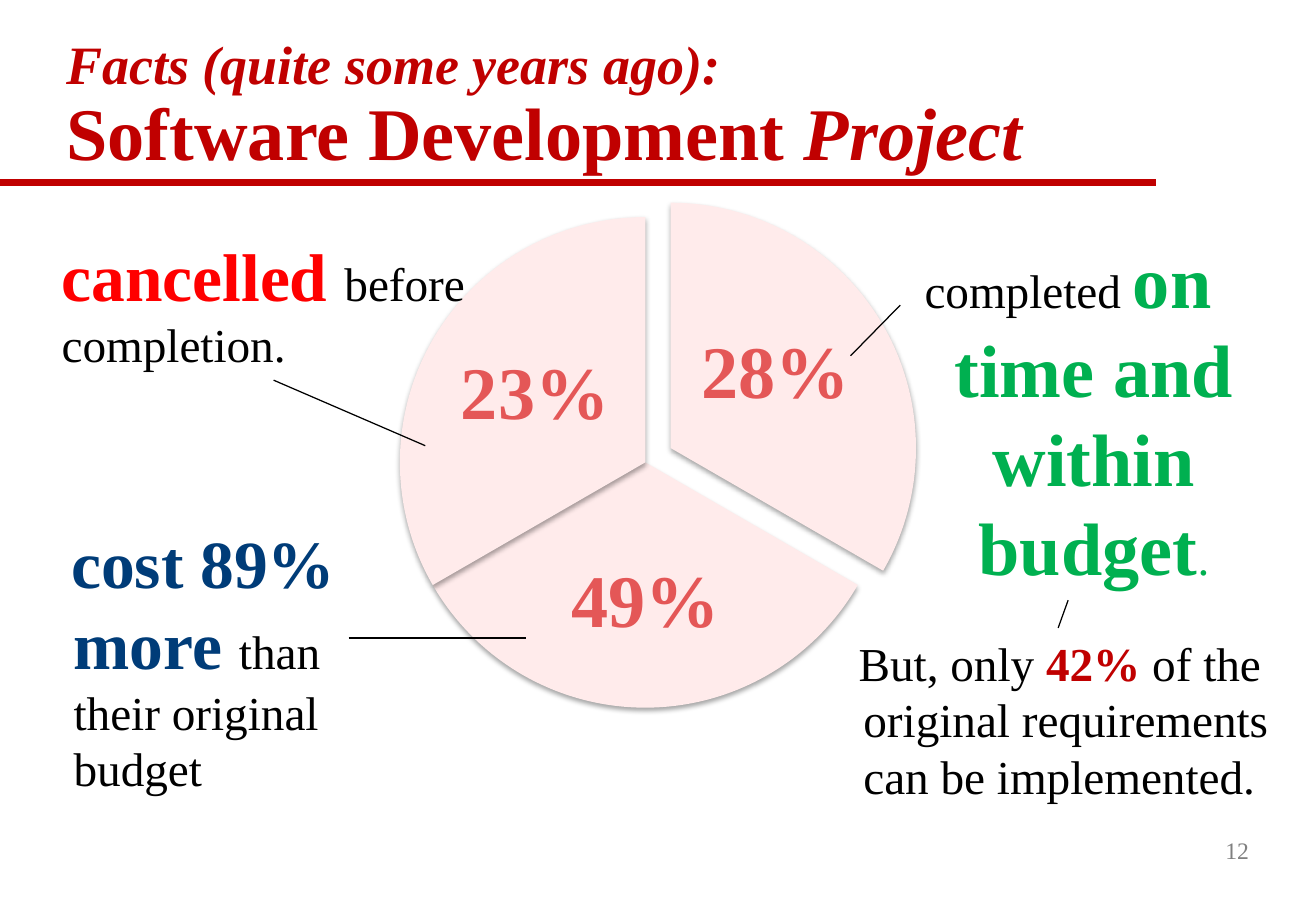
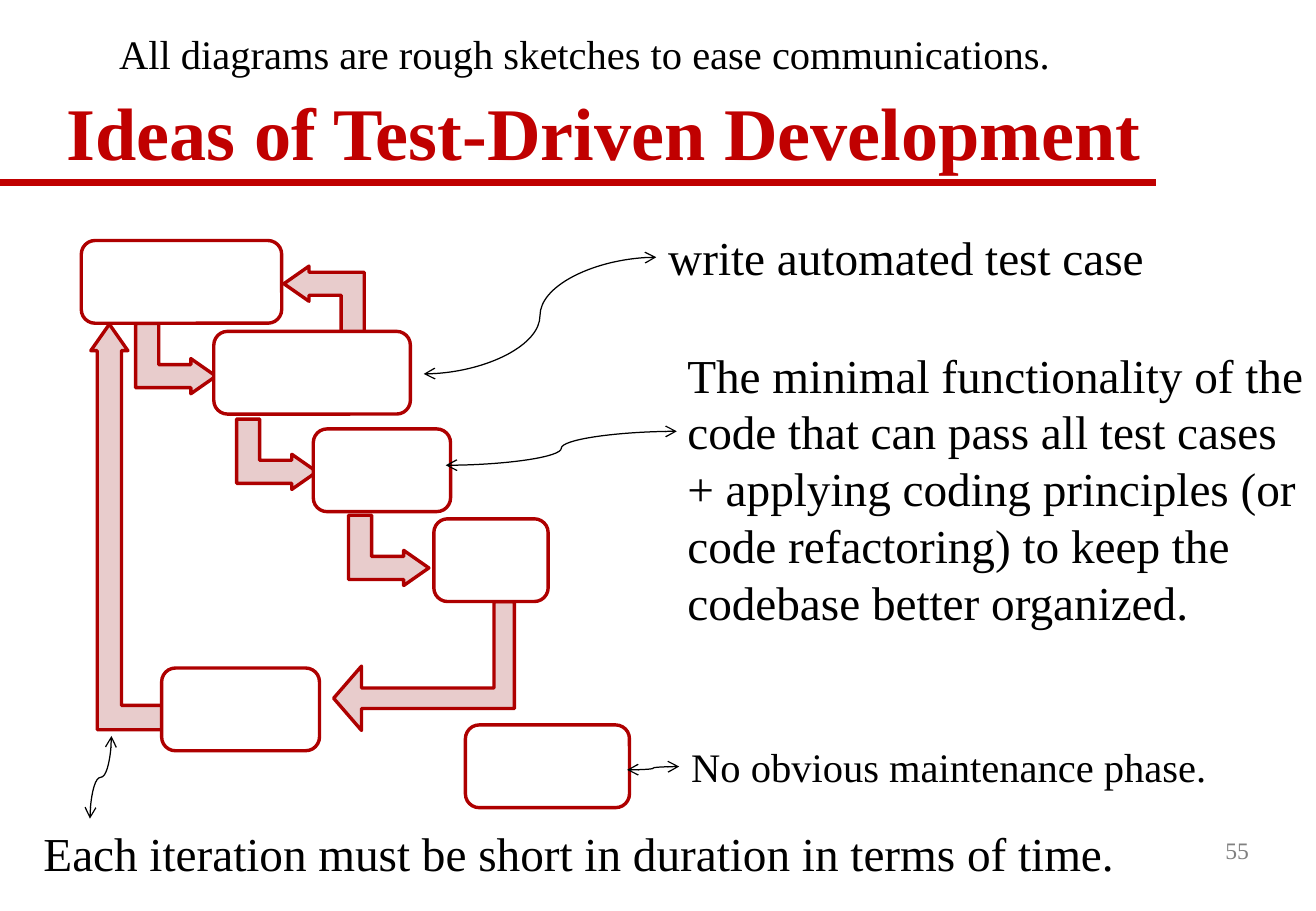
from lxml import etree
from pptx import Presentation
from pptx import util as u
from pptx.dml.color import RGBColor
from pptx.enum import shapes, text
from pptx.oxml import ns

FONT = "Times New Roman"
CRIMSON = RGBColor(0xC0, 0x00, 0x00)
BLACK = RGBColor(0x00, 0x00, 0x00)
WHITE = RGBColor(0xFF, 0xFF, 0xFF)
GREY = RGBColor(0x80, 0x80, 0x80)
RED = RGBColor(0xFF, 0x00, 0x00)
GREEN = RGBColor(0x00, 0xB0, 0x50)
NAVY = RGBColor(0x00, 0x3C, 0x78)
SLICE_PINK = RGBColor(0xFF, 0xEB, 0xEB)
PERCENT_RED = RGBColor(0xE4, 0x57, 0x57)
ARROW_PINK = RGBColor(0xE8, 0xCC, 0xCC)
OUTLINE_RED = RGBColor(0xAE, 0x00, 0x00)
LEFT, CENTER, RIGHT = text.PP_ALIGN.LEFT, text.PP_ALIGN.CENTER, text.PP_ALIGN.RIGHT
TOP, MIDDLE, BOTTOM = text.MSO_ANCHOR.TOP, text.MSO_ANCHOR.MIDDLE, text.MSO_ANCHOR.BOTTOM
STRAIGHT, CURVE = shapes.MSO_CONNECTOR.STRAIGHT, shapes.MSO_CONNECTOR.CURVE


def cm(*lengths):
    """Turn numbers of centimetres into lengths."""
    return [u.Cm(length) for length in lengths]


def style(font, size=None, color=None, bold=None, italic=None):
    """Set the given features of a font."""
    if size:
        font.size = u.Pt(size)
    if color is not None:
        font.color.rgb = color
    font.bold, font.italic = bold, italic


def add_text(slide, box, paragraphs, size=28, color=BLACK, bold=None, align=LEFT,
             anchor=TOP, spacing=None, inset=None, indent=None):
    """Write paragraphs, each a string or a list of (words, font features)."""
    frame = slide.shapes.add_textbox(*cm(*box)).text_frame
    frame.word_wrap = True
    frame.vertical_anchor = anchor
    if inset is not None:
        frame.margin_left = frame.margin_right = u.Cm(inset)
        frame.margin_top = frame.margin_bottom = u.Cm(inset)
    for number, content in enumerate(paragraphs):
        paragraph = frame.add_paragraph() if number else frame.paragraphs[0]
        paragraph.alignment = align
        paragraph.line_spacing = spacing
        if indent:
            properties = paragraph._p.get_or_add_pPr()
            properties.set("marL", str(u.Cm(indent[0])))
            properties.set("indent", str(u.Cm(indent[1])))
        paragraph.font.name = FONT
        style(paragraph.font, size, color, bold)
        runs = [(content, {})] if isinstance(content, str) else content
        for words, features in runs:
            if words == "\n":
                paragraph.add_line_break()
                continue
            run = paragraph.add_run()
            run.text = words
            style(run.font, **features)


def add_line(slide, ends, kind=STRAIGHT, color=BLACK, width=0.75, arrows=False, turn=0):
    """Draw a connector, with open arrowheads at both ends if asked."""
    line = slide.shapes.add_connector(kind, *cm(*ends))
    line.line.color.rgb = color
    line.line.width = u.Pt(width)
    properties = line._element.spPr
    if arrows:
        outline = line.line._get_or_add_ln()
        for end in ("a:headEnd", "a:tailEnd"):
            etree.SubElement(outline, ns.qn(end), type="arrow")
    if turn:
        properties.find(ns.qn("a:xfrm")).set("rot", str(turn * 60000))
    etree.SubElement(properties, ns.qn("a:effectLst"))


def add_block(slide, kind, box, fill, outline=None, adjustments=()):
    """Draw a filled shape without shadow."""
    block = slide.shapes.add_shape(kind, *cm(*box))
    block.shadow.inherit = False
    block.fill.solid()
    block.fill.fore_color.rgb = fill
    if outline is None:
        block.line.fill.background()
    else:
        block.line.color.rgb = outline
        block.line.width = u.Pt(2)
    for index, value in enumerate(adjustments):
        block.adjustments[index] = value
    return block


def add_frame(deck, title, number):
    """Start a slide with its title, rule and page number."""
    slide = deck.slides.add_slide(deck.slide_layouts[6])
    add_line(slide, (0, 3.81, 24.16, 3.81), color=CRIMSON, width=4)
    add_text(slide, (1.14, 0.74, 25.96, 3.07), [title], 44, CRIMSON, True,
             anchor=BOTTOM, spacing=0.9)
    add_text(slide, (20.62, 17.14, 5.74, 1.27), [number], 14, GREY,
             align=RIGHT, anchor=MIDDLE)
    return slide


def add_pie(slide, left, top):
    """Draw three equal slices, the first pulled out, with their percentages."""
    diameter = 10.26
    slices = [
        ("28%", (0.53, 0), (162, 18), (6.12, 1.88, 3.48, 3.43)),
        ("49%", (0, 0.3), (18, 90), (2.82, 6.78, 4.65, 3.18)),
        ("23%", (0, 0.3), (90, 162), (1.09, 2.31, 3.48, 3.43)),
    ]
    for percent, (dx, dy), angles, (x, y, width, height) in slices:
        piece = add_block(slide, shapes.MSO_SHAPE.PIE,
                          (left + dx, top + dy, diameter, diameter),
                          SLICE_PINK, adjustments=angles)
        effects = piece._element.spPr.find(ns.qn("a:effectLst"))
        shadow = etree.SubElement(effects, ns.qn("a:outerShdw"), blurRad=str(u.Pt(3.1)),
                                  dist=str(u.Pt(1.8)), dir="5400000", rotWithShape="0")
        shade = etree.SubElement(shadow, ns.qn("a:srgbClr"), val=str(BLACK))
        etree.SubElement(shade, ns.qn("a:alpha"), val="35000")
        add_text(slide, (left + x, top + y, width, height), [percent], 44, PERCENT_RED,
                 True, CENTER, MIDDLE, 0.9, 0.15)


def add_waterfall(slide, left, top):
    """Draw the empty steps and the bent arrows between them."""
    small, bend = (1.47, 1.68), (0.328, 0.25, 0.358)
    arrows = [
        ((1.24, 1.63), small, 90, False, bend),
        ((4.34, 0.43), small, 270, False, bend),
        ((3.35, 3.63), small, 90, False, bend),
        ((5.69, 5.64), small, 90, False, bend),
        ((0.2, 1.75), (1.55, 8.48), 0, True, bend),
        ((5.82, 7.01), (2.69, 3.78), 270, True, (0.159, 0.25, 0.217)),
    ]
    for (x, y), size, turn, mirrored, adjustments in arrows:
        arrow = add_block(slide, shapes.MSO_SHAPE.BENT_UP_ARROW, (left + x, top + y, *size),
                          ARROW_PINK, OUTLINE_RED, adjustments)
        arrow.rotation = turn
        if mirrored:
            arrow._element.spPr.find(ns.qn("a:xfrm")).set("flipH", "1")
    steps = [(0, 0, 4.19), (2.77, 1.9, 4.11), (4.85, 3.94, 2.87),
             (7.37, 5.82, 2.39), (1.68, 8.94, 3.3), (8.03, 10.13, 3.43)]
    for x, y, width in steps:
        add_block(slide, shapes.MSO_SHAPE.ROUNDED_RECTANGLE,
                  (left + x, top + y, width, 1.73), WHITE, OUTLINE_RED)


def build_facts(deck):
    """Build the slide on the outcome of software projects."""
    title = [("Facts (quite some years ago):", {"size": 32, "italic": True}), ("\n", {}),
             ("Software Development ", {}), ("Project", {"italic": True})]
    slide = add_frame(deck, title, "12")
    add_pie(slide, 8.36, 4.24)
    cancelled = [("cancelled ", {"size": 40, "color": RED, "bold": True}),
                 ("before completion.", {})]
    overrun = [("cost 89% more ", {"size": 40, "color": NAVY, "bold": True}),
               ("than their original budget", {})]
    completed = [("completed ", {}),
                 ("on time and within budget", {"size": 44, "color": GREEN, "bold": True}),
                 (".", {"color": GREEN})]
    implemented = [("But, only ", {}), ("42% ", {"color": CRIMSON, "bold": True}),
                   ("of the original requirements can be implemented.", {})]
    add_text(slide, (1.04, 4.78, 9.32, 3.15), [cancelled])
    add_text(slide, (0.2, 10.77, 8.69, 6.07), [overrun], indent=(1.09, -0.05))
    add_text(slide, (17.78, 4.78, 9.09, 7.77), [completed], align=CENTER,
             indent=(1.09, -1.09))
    add_text(slide, (16.71, 13.13, 10.8, 3.84), [implemented], indent=(1.09, -0.1))
    for leader in [(5.72, 7.95, 8.89, 9.32), (18.82, 6.38, 17.78, 7.44),
                   (7.29, 13.34, 11, 13.34), (22.33, 12.55, 22.12, 13.13)]:
        add_line(slide, leader)


def build_ideas(deck):
    """Build the slide on test-driven development."""
    slide = add_frame(deck, "Ideas of Test-Driven Development", "55")
    add_waterfall(slide, 1.7, 5.03)
    notes = [
        ((13.72, 4.65, 10.8, 1.45), 28, ["write automated test case"]),
        ((14.12, 7.11, 13.79, 6.25), 28, [
            "The minimal functionality of the code that can pass all test cases",
            "+ applying coding principles (or code refactoring) to keep the "
            "codebase better organized."]),
        ((14.2, 15.39, 11.8, 1.3), 24, ["No obvious maintenance phase."]),
        ((0.66, 17.12, 23.4, 1.45), 28,
         ["Each iteration must be short in duration in terms of time."]),
        ((2.24, 0.48, 20.4, 1.27), 24,
         ["All diagrams are rough sketches to ease communications."]),
    ]
    for box, size, paragraphs in notes:
        add_text(slide, box, paragraphs, size)
    for ends, turn in [((13.72, 5.38, 8.86, 7.82), 0), ((14.15, 9.02, 9.32, 9.73), 0),
                       ((14.2, 16.03, 13.11, 16.1), 0), ((1.24, 16.03, 2.97, 16.48), 90)]:
        add_line(slide, ends, CURVE, arrows=True, turn=turn)


def main():
    """Build and save the two slides."""
    deck = Presentation()
    deck.slide_width, deck.slide_height = cm(27.51, 19.05)
    build_facts(deck)
    build_ideas(deck)
    deck.save("out.pptx")


if __name__ == "__main__":
    main()
